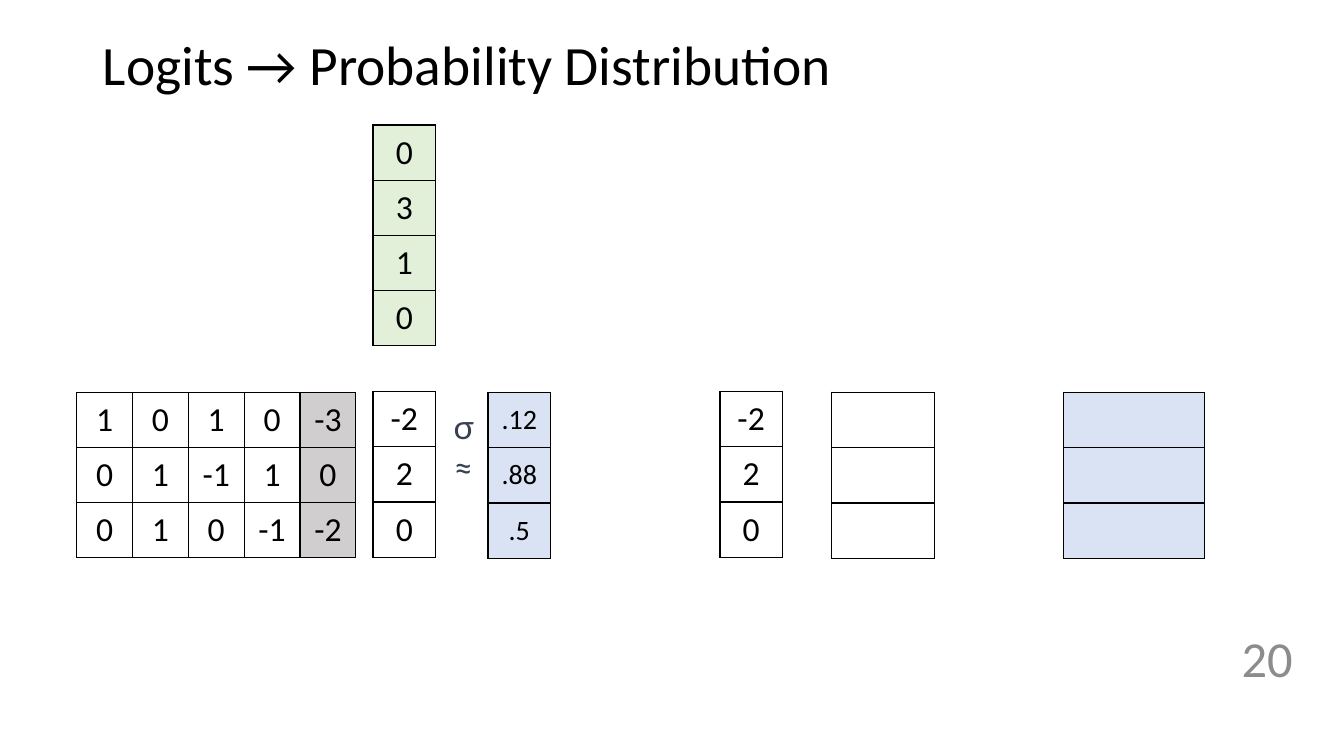
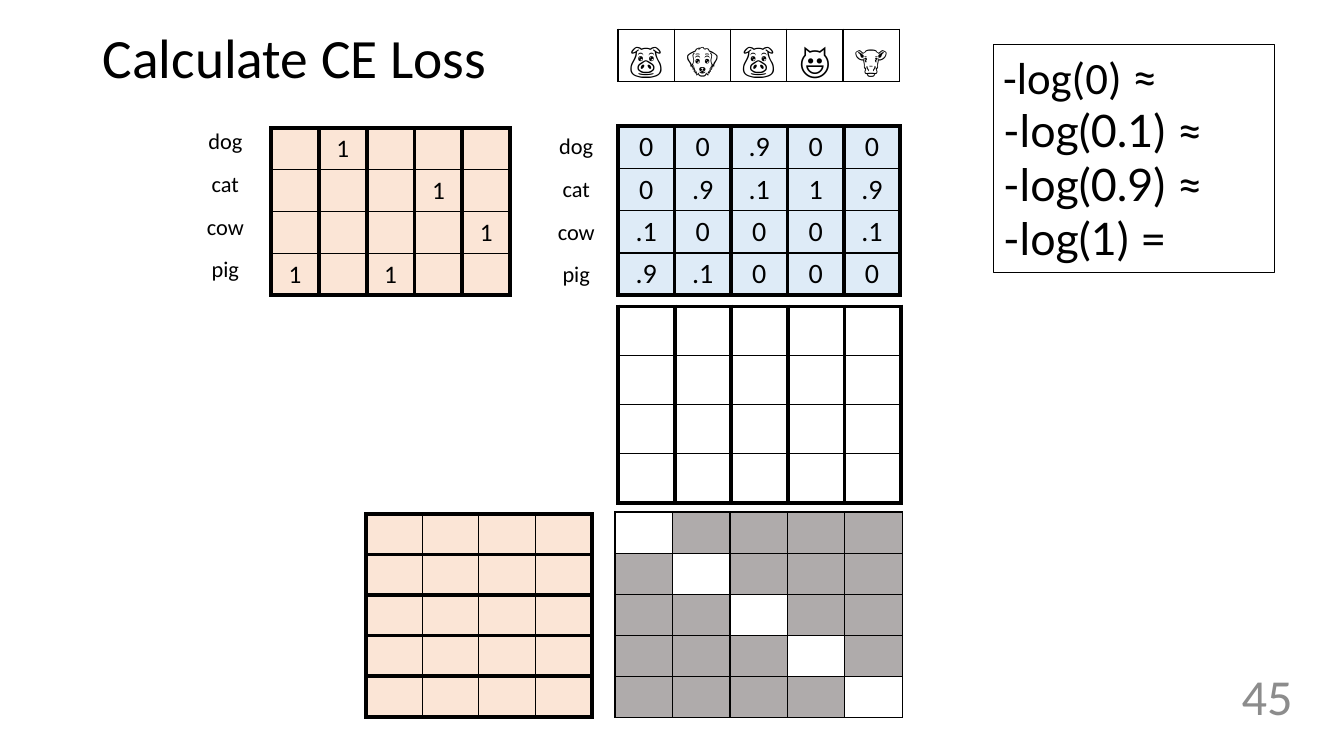
from lxml.etree import SubElement
from pptx import Presentation
from pptx.dml.color import RGBColor
from pptx.enum.shapes import MSO_SHAPE
from pptx.enum.text import MSO_ANCHOR, PP_ALIGN
from pptx.oxml.ns import qn
from pptx.util import Inches, Pt

BLACK, GRAY, SLATE = "000000", "8C8C8C", "374151"
GREEN, BLUE, PALE_BLUE, PEACH = "E2F0D9", "DAE3F3", "DEEBF7", "FBE5D6"
BIAS_GRAY, MASK_GRAY = "D0CECE", "AFABAB"
BODY_FONT, SYMBOL_FONT = "Calibri", "Lato"
ANIMALS = [["dog"], ["cat"], ["cow"], ["pig"]]
THIN, THICK = 1, 3


def color(value):
    return RGBColor.from_string(value)


def set_font(font, size, name=BODY_FONT, fill=BLACK):
    font.size = Pt(size)
    font.name = name
    font.color.rgb = color(fill)


def set_border(cell, side, width):
    line = SubElement(cell._tc.get_or_add_tcPr(), qn(f"a:ln{side}"), w=str(int(Pt(width))))
    if width:
        solid = SubElement(line, qn("a:solidFill"))
        SubElement(solid, qn("a:srgbClr"), val=BLACK)
    else:
        SubElement(line, qn("a:noFill"))


def blank(rows, columns):
    return [[""] * columns for _ in range(rows)]


def add_grid(slide, box, values, size=24, fill=None, column_rule=THIN, row_rule=THIN,
             outer_rule=THIN, flush=False):
    rows, columns = len(values), len(values[0])
    left, top, width, height = (Inches(length) for length in box)
    table = slide.shapes.add_table(rows, columns, left, top, width, height).table
    table.first_row = False
    table.horz_banding = False
    for row_index, row in enumerate(values):
        for column_index, value in enumerate(row):
            cell = table.cell(row_index, column_index)
            set_border(cell, "L", column_rule if column_index else outer_rule)
            set_border(cell, "R", column_rule if column_index < columns - 1 else outer_rule)
            set_border(cell, "T", row_rule if row_index else outer_rule)
            set_border(cell, "B", row_rule if row_index < rows - 1 else outer_rule)
            shade = fill(row_index, column_index) if callable(fill) else fill
            if shade:
                cell.fill.solid()
                cell.fill.fore_color.rgb = color(shade)
            else:
                cell.fill.background()
            cell.vertical_anchor = MSO_ANCHOR.BOTTOM if flush else MSO_ANCHOR.MIDDLE
            cell.margin_left = cell.margin_right = Inches(0 if flush else 0.09)
            cell.margin_top = cell.margin_bottom = Inches(0 if flush else 0.04)
            cell.text = value
            paragraph = cell.text_frame.paragraphs[0]
            paragraph.alignment = PP_ALIGN.CENTER
            set_font(paragraph.font, size)


def add_titled_slide(presentation, title_text, title_top, number, number_top):
    slide = presentation.slides.add_slide(presentation.slide_layouts[5])
    title = slide.shapes.title
    title.left, title.top = Inches(0.92), Inches(title_top)
    title.width, title.height = Inches(11.5), Inches(0.55)
    title.text = title_text
    title.text_frame.vertical_anchor = MSO_ANCHOR.MIDDLE
    paragraph = title.text_frame.paragraphs[0]
    paragraph.alignment = PP_ALIGN.LEFT
    paragraph.line_spacing = 0.9
    set_font(paragraph.font, 39.6)

    number_box = slide.shapes.add_textbox(
        Inches(11.67), Inches(number_top), Inches(1.25), Inches(0.86))
    frame = number_box.text_frame
    frame.word_wrap = True
    frame.vertical_anchor = MSO_ANCHOR.MIDDLE
    frame.text = number
    frame.paragraphs[0].alignment = PP_ALIGN.RIGHT
    set_font(frame.paragraphs[0].font, 36, fill=GRAY)
    return slide


def add_sigmoid_label(slide, left, top):
    label = slide.shapes.add_textbox(Inches(left), Inches(top), Inches(0.35), Inches(0.91))
    label.text_frame.word_wrap = True
    label.text_frame.text = "σ\n≈"
    for paragraph in label.text_frame.paragraphs:
        set_font(paragraph.font, 24, SYMBOL_FONT, SLATE)


def add_log_reference(slide, left, top):
    panel = slide.shapes.add_shape(
        MSO_SHAPE.RECTANGLE, Inches(left), Inches(top), Inches(2.79), Inches(2.26))
    panel.shadow.inherit = False
    panel.fill.background()
    panel.line.color.rgb = color(BLACK)
    panel.line.width = Pt(0.75)
    frame = panel.text_frame
    frame.word_wrap = True
    frame.vertical_anchor = MSO_ANCHOR.TOP
    frame.text = "-log(0) \n-log(0.1) ≈\n-log(0.9) ≈\n-log(1) ="
    for index, paragraph in enumerate(frame.paragraphs):
        paragraph.alignment = PP_ALIGN.LEFT
        set_font(paragraph.font, 32, SYMBOL_FONT if index else BODY_FONT)
    symbol = frame.paragraphs[0].add_run()
    symbol.text = "≈"
    symbol.font.name = SYMBOL_FONT


def add_one_hot_labels(slide, left, top):
    add_animal_names(slide, left, top)
    labels = blank(4, 5)
    for column, row in enumerate([3, 0, 3, 1, 2]):
        labels[row][column] = "1"
    add_grid(slide, (left + 0.9, top + 0.07, 2.37, 1.66), labels, 18, PEACH,
             column_rule=THICK, outer_rule=THICK)


def add_animal_names(slide, left, top):
    add_grid(slide, (left, top, 0.89, 1.69), ANIMALS, 16,
             column_rule=0, row_rule=0, outer_rule=0)


def add_predictions(slide, left, top):
    add_animal_names(slide, left - 0.86, top)
    predictions = [
        ["0", "0", ".9", "0", "0"],
        ["0", ".9", ".1", "1", ".9"],
        [".1", "0", "0", "0", ".1"],
        [".9", ".1", "0", "0", "0"],
    ]
    add_grid(slide, (left, top - 0.96, 2.79, 0.52), [["🐷", "🐶", "🐷", "😺", "🐮"]], flush=True)
    add_grid(slide, (left, top, 2.8, 1.68), predictions, 20, PALE_BLUE,
             column_rule=THICK, outer_rule=THICK)
    add_grid(slide, (left, top + 1.79, 2.81, 1.95), blank(4, 5), 18,
             column_rule=THICK, outer_rule=THICK)


def add_loss_product(slide, left, top):
    add_grid(slide, (left, top, 2.24, 2.01), blank(5, 4), 18, PEACH,
             row_rule=THICK, outer_rule=THICK)
    add_grid(slide, (left + 2.47, top - 0.02, 2.85, 2.04), blank(5, 5), 18,
             lambda row, column: None if row == column else MASK_GRAY)


def build_distribution_slide(presentation):
    slide = add_titled_slide(presentation, "Logits → Probability Distribution", 0.4, "20", 6.09)
    weights = [
        ["1", "0", "1", "0", "-3"],
        ["0", "1", "-1", "1", "0"],
        ["0", "1", "0", "-1", "-2"],
    ]
    logits = [["-2"], ["2"], ["0"]]
    add_grid(slide, (3.7, 1.24, 0.62, 2.19), [["0"], ["3"], ["1"], ["0"]], fill=GREEN)
    add_grid(slide, (0.76, 3.89, 2.77, 1.64), weights,
             fill=lambda row, column: BIAS_GRAY if column == 4 else None)
    for left in (3.7, 7.14):
        add_grid(slide, (left, 3.88, 0.62, 1.65), logits)
    add_grid(slide, (4.84, 3.89, 0.62, 1.65), [[".12"], [".88"], [".5"]], 20, BLUE)
    add_sigmoid_label(slide, 4.4, 3.98)
    add_grid(slide, (8.25, 3.89, 1.02, 1.65), blank(3, 1))
    add_grid(slide, (10.55, 3.89, 1.4, 1.65), blank(3, 1), fill=BLUE)


def build_loss_slide(presentation):
    slide = add_titled_slide(presentation, "Calculate CE Loss", 0.33, "45", 6.47)
    add_one_hot_labels(slide, 1.79, 1.2)
    add_predictions(slide, 6.13, 1.25)
    add_loss_product(slide, 3.63, 5.1)
    add_log_reference(slide, 9.85, 0.44)


def main():
    presentation = Presentation()
    presentation.slide_width = Inches(13.33)
    presentation.slide_height = Inches(7.5)
    build_distribution_slide(presentation)
    build_loss_slide(presentation)
    presentation.save("out.pptx")


if __name__ == "__main__":
    main()
